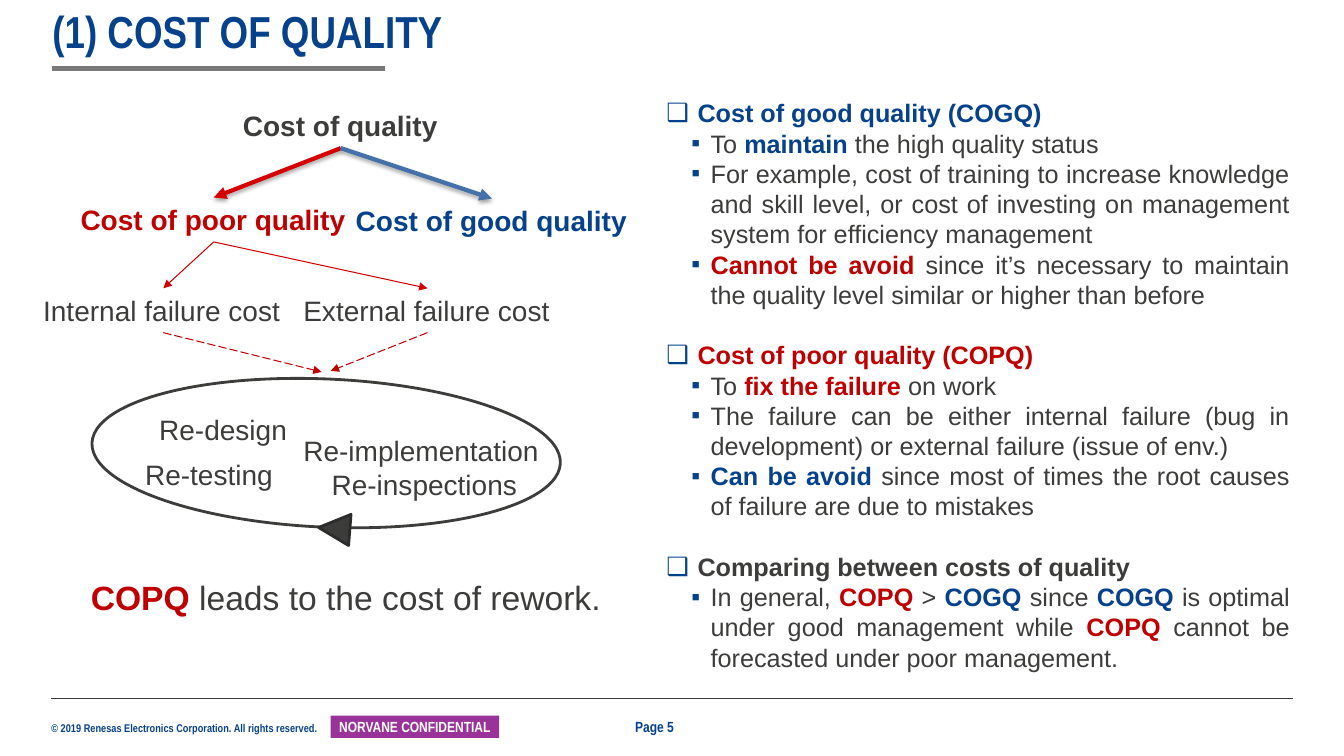
from lxml.etree import SubElement
from pptx import Presentation
from pptx.dml.color import RGBColor
from pptx.enum.dml import MSO_LINE
from pptx.enum.shapes import MSO_CONNECTOR, MSO_SHAPE
from pptx.enum.text import MSO_ANCHOR, MSO_AUTO_SIZE, PP_ALIGN
from pptx.oxml.ns import qn
from pptx.util import Inches, Pt

BLUE, RED, DARK, WHITE = "06418C", "C00000", "3C3C3B", "FFFFFF"


def rgb(value):
    return RGBColor.from_string(value)


class SlideBuilder:
    """Draws styled elements on the current slide."""

    def __init__(self, slide, font="Arial", narrow="Arial Narrow"):
        self.s, self.font, self.narrow = slide, font, narrow

    def runs(self, p, parts, size, font):
        for text, color, bold in parts:
            r = p.add_run()
            r.text = text
            r.font.name, r.font.size, r.font.bold = font, Pt(size), bold
            r.font.color.rgb = rgb(color)

    def text(self, box, parts, size=20, font=None, wrap=False, inset=True,
             anchor=MSO_ANCHOR.TOP, align=PP_ALIGN.LEFT):
        sp = self.s.shapes.add_textbox(*map(Inches, box))
        tf = sp.text_frame
        tf.word_wrap, tf.vertical_anchor = wrap, anchor
        tf.auto_size = MSO_AUTO_SIZE.SHAPE_TO_FIT_TEXT
        if not inset:
            tf.margin_left = tf.margin_right = tf.margin_top = tf.margin_bottom = 0
        p = tf.paragraphs[0]
        p.alignment = align
        self.runs(p, parts, size, font or self.font)
        return p

    def label(self, box, text, size, wrap=True, anchor=MSO_ANCHOR.MIDDLE):
        return self.text(box, [(text, BLUE, True)], size, self.narrow, wrap, False, anchor)

    def shape(self, kind, box, fill, line=None, rotation=0):
        sp = self.s.shapes.add_shape(kind, *map(Inches, box))
        sp.shadow.inherit = False
        sp.rotation = rotation
        sp.fill.solid()
        sp.fill.fore_color.rgb = rgb(fill)
        if line:
            sp.line.color.rgb = rgb(line)
            sp.line.width = Pt(2)
        else:
            sp.line.fill.background()
        return sp

    def badge(self, box, text, fill):
        tf = self.shape(MSO_SHAPE.RECTANGLE, box, fill).text_frame
        tf.margin_left = tf.margin_right = Inches(0.04)
        tf.margin_top = tf.margin_bottom = 0
        tf.vertical_anchor = MSO_ANCHOR.MIDDLE
        tf.word_wrap = True
        tf.paragraphs[0].alignment = PP_ALIGN.CENTER
        self.runs(tf.paragraphs[0], [(text, WHITE, True)], 10.5, self.narrow)

    def line(self, start, end, color, width, arrow=True, dash=None, shadow=False):
        c = self.s.shapes.add_connector(MSO_CONNECTOR.STRAIGHT, *map(Inches, start + end))
        c.line.color.rgb = rgb(color)
        c.line.width = Pt(width)
        if dash:
            c.line.dash_style = dash
        spPr = c._element.spPr
        if arrow:
            SubElement(spPr.find(qn("a:ln")), qn("a:tailEnd"), type="triangle")
        effects = SubElement(spPr, qn("a:effectLst"))
        if shadow:
            outer = SubElement(effects, qn("a:outerShdw"), blurRad=str(Pt(3.1)),
                               dist=str(Pt(1.8)), dir="5400000", rotWithShape="0")
            black = SubElement(outer, qn("a:srgbClr"), val="000000")
            SubElement(black, qn("a:alpha"), val="35000")

    def bullet(self, p, char, left, hanging, level):
        p.level = level
        p.alignment = PP_ALIGN.JUSTIFY
        pPr = p._p.get_or_add_pPr()
        pPr.set("marL", str(Inches(left)))
        pPr.set("indent", str(-Inches(hanging)))
        SubElement(SubElement(pPr, qn("a:buClr")), qn("a:srgbClr"), val=BLUE)
        SubElement(pPr, qn("a:buFont"), typeface=self.font)
        SubElement(pPr, qn("a:buChar"), char=char)

    def outline(self, box, sections, size=18):
        sp = self.s.shapes.add_textbox(*map(Inches, box))
        tf = sp.text_frame
        tf.word_wrap = True
        tf.auto_size = MSO_AUTO_SIZE.SHAPE_TO_FIT_TEXT
        for i, (heading, items) in enumerate(sections):
            p = tf.add_paragraph() if i else tf.paragraphs[0]
            if i:
                p.space_before = Pt(21.6)
            self.bullet(p, "❑", 0.31, 0.31, 0)
            self.runs(p, [heading], size, self.font)
            for parts in items:
                p = tf.add_paragraph()
                self.bullet(p, "▪", 0.44, 0.19, 1)
                self.runs(p, parts, size, self.font)


def plain(text):
    return text, DARK, False


def good(text):
    return text, BLUE, True


def poor(text):
    return text, RED, True


SECTIONS = [
    (good("Cost of good quality (COGQ)"), [
        [plain("To "), good("maintain "), plain("the high quality status")],
        [plain("For example, cost of training to increase knowledge and skill level, "
               "or cost of investing on management system for efficiency management")],
        [poor("Cannot be avoid"), plain(" since it’s necessary to maintain the quality "
                                        "level similar or higher than before")]]),
    (poor("Cost of poor quality (COPQ)"), [
        [plain("To "), poor("fix the failure "), plain("on work")],
        [plain("The failure can be either internal failure (bug in development) "
               "or external failure (issue of env.)")],
        [good("Can be avoid "), plain("since most of times the root causes of failure "
                                      "are due to mistakes")]]),
    (("Comparing between costs of quality", DARK, True), [
        [plain("In general, "), poor("COPQ "), plain("> "), good("COGQ"), plain(" since "),
         good("COGQ"), plain(" is optimal under good management while "), poor("COPQ "),
         plain("cannot be forecasted under poor management.")]]),
]

COSTS = [
    ((2.31, 1.03, 2.15, 0.44), ("Cost of quality", DARK, True)),
    ((0.7, 1.96, 2.85, 0.44), poor("Cost of poor quality")),
    ((3.43, 1.97, 2.91, 0.44), good("Cost of good quality")),
    ((0.33, 2.86, 2.57, 0.44), plain("Internal failure cost")),
    ((2.91, 2.86, 2.66, 0.44), plain("External failure cost")),
]
REWORK = [
    ((1.48, 4.04, 1.48, 0.44), plain("Re-design")),
    ((2.91, 4.25, 2.56, 0.44), plain("Re-implementation")),
    ((1.34, 4.49, 1.48, 0.44), plain("Re-testing")),
    ((3.19, 4.59, 2.06, 0.44), plain("Re-inspections")),
]


def main():
    prs = Presentation()
    prs.slide_width, prs.slide_height = Inches(13.33), Inches(7.5)
    b = SlideBuilder(prs.slides.add_slide(prs.slide_layouts[6]))

    b.label((0.51, 7.16, 2.68, 0.13),
            "© 2019 Renesas Electronics Corporation. All rights reserved.", 8,
            wrap=False, anchor=MSO_ANCHOR.TOP)
    b.line((0.51, 6.93), (12.82, 6.93), DARK, 0.5, arrow=False)
    b.badge((3.28, 7.1, 1.67, 0.22), "NORVANE CONFIDENTIAL", "993399")
    b.line((0.52, 0.68), (3.82, 0.68), "797979", 3, arrow=False)
    title = b.label((0.52, 0.1, 12.36, 0.48), "(1) COST OF QUALITY", 32,
                    anchor=MSO_ANCHOR.BOTTOM)
    title.line_spacing = 0.9
    b.label((6.3, 7.12, 0.73, 0.18), "Page 5", 10.5)

    for box, part in COSTS:
        b.text(box, [part])
    b.shape(MSO_SHAPE.OVAL, (0.91, 3.76, 4.65, 1.47), WHITE, DARK, 2.5)
    for box, part in REWORK:
        b.text(box, [part])

    for end, color in (((2.12, 1.96), "D70000"), ((4.88, 1.97), "4471A9")):
        b.line((3.38, 1.47), end, color, 3, shadow=True)
    for x, target in ((4.24, (3.28, 3.68)), (1.62, (3.19, 3.69))):
        b.line((2.12, 2.4), (x, 2.86), "D20000", 0.75)
        b.line((x, 3.3), target, RED, 0.75, dash=MSO_LINE.LONG_DASH)
    b.shape(MSO_SHAPE.ISOSCELES_TRIANGLE, (3.16, 5.09, 0.31, 0.31), DARK, "2C2C2C", 274.5)

    b.text((0.61, 5.67, 5.64, 0.5), [poor("COPQ "), plain("leads to the cost of rework.")],
           24, wrap=True, align=PP_ALIGN.CENTER)
    b.outline((6.51, 0.92, 6.38, 5.86), SECTIONS)
    prs.save("out.pptx")


if __name__ == "__main__":
    main()
